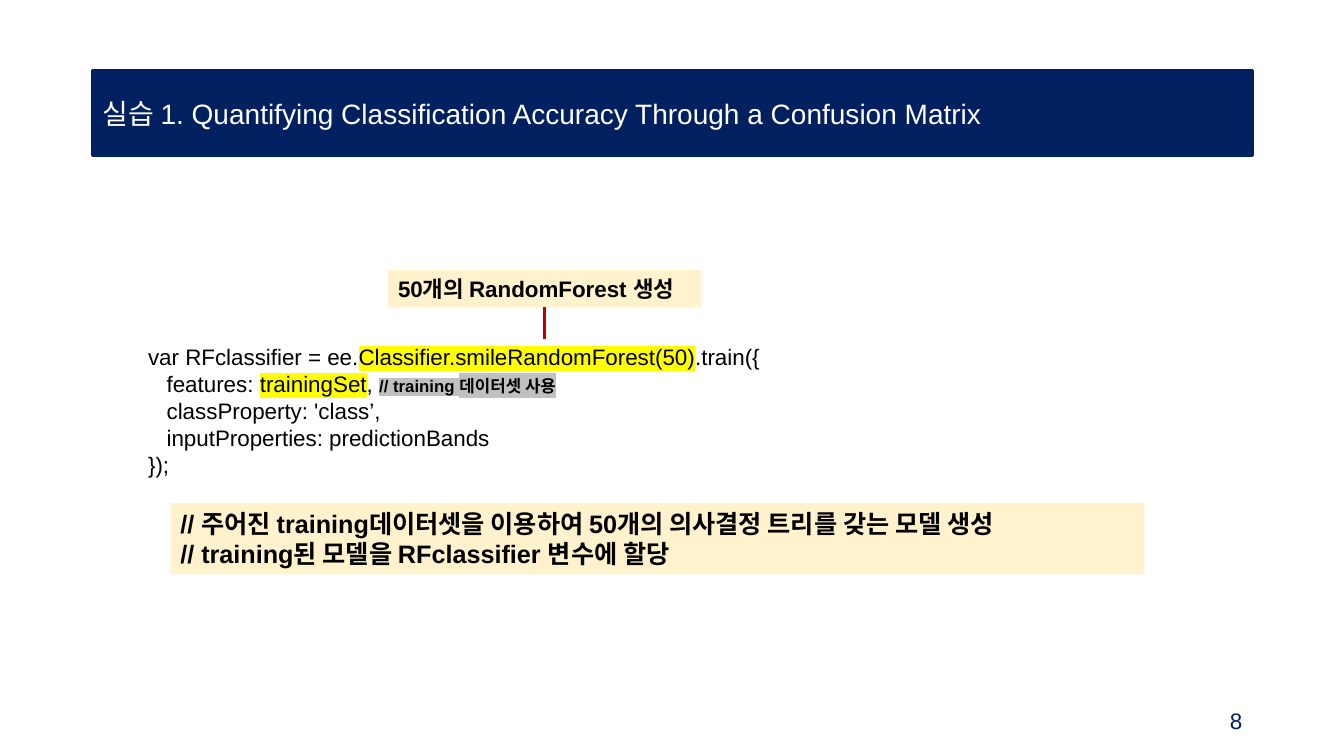
"""Build the slide on training a random forest classifier."""
import pptx
import pptx.dml.color
import pptx.enum.shapes
import pptx.enum.text
import pptx.oxml
import pptx.oxml.ns
import pptx.util

NAVY, CREAM, BLACK, WHITE = "002060", "FFF2CC", "000000", "FFFFFF"
YELLOW, SILVER, RED = "FFFF00", "C0C0C0", "C00000"
ALIGN = pptx.enum.text.PP_ALIGN
ANCHOR = pptx.enum.text.MSO_ANCHOR

prs = pptx.Presentation()
prs.slide_width = pptx.util.Inches(13.33)
prs.slide_height = pptx.util.Inches(7.5)
s = prs.slides.add_slide(prs.slide_layouts[6])
col, row = prs.slide_width / 100, prs.slide_height / 100


def rgb(value):
    return pptx.dml.color.RGBColor.from_string(value)


def style(r, size, color, bold=False, mark=None):
    r.font.size = pptx.util.Pt(size)
    r.font.bold = bold
    r.font.color.rgb = rgb(color)
    if mark:
        fill = r.font._element.find(pptx.oxml.ns.qn("a:solidFill"))
        fill.addnext(pptx.oxml.parse_xml(
            f'<a:highlight {pptx.oxml.ns.nsdecls("a")}><a:srgbClr val="{mark}"/></a:highlight>'))
    r.font.name = "Arial"


title = ["실습 1. Quantifying Classification Accuracy Through a Confusion Matrix"]
label = ["50개의 RandomForest 생성"]
notes = ["// 주어진 training데이터셋을 이용하여 50개의 의사결정 트리를 갖는 모델 생성",
         "// training된 모델을 RFclassifier 변수에 할당"]
label_x, label_y, label_w, label_h = 28.88, 35.73, 23.33, 4.93
code_y = 44.8

boxes = [
    (6.9, 9.33, 86.27, 11.2, title, 20, WHITE, False, NAVY, ALIGN.LEFT, ANCHOR.MIDDLE),
    (70.67, 92.67, 22.5, 5.33, ["8"], 16, NAVY, False, None, ALIGN.RIGHT, ANCHOR.MIDDLE),
    (label_x, label_y, label_w, label_h, label, 16, BLACK, True, CREAM, ALIGN.LEFT, ANCHOR.TOP),
    (12.68, 66.53, 72.47, 9.47, notes, 18, BLACK, True, CREAM, ALIGN.LEFT, ANCHOR.TOP),
]
for x, y, w, h, lines, size, color, bold, fill, align, anchor in boxes:
    area = [int(v) for v in (x * col, y * row, w * col, h * row)]
    if fill:
        sp = s.shapes.add_shape(pptx.enum.shapes.MSO_SHAPE.RECTANGLE, *area)
        sp.shadow.inherit = False
        sp.fill.solid()
        sp.fill.fore_color.rgb = rgb(fill)
        if fill == NAVY:
            sp.line.color.rgb = rgb(NAVY)
            sp.line.width = pptx.util.Pt(2.25)
        else:
            sp.line.fill.background()
    else:
        sp = s.shapes.add_textbox(*area)
    tf = sp.text_frame
    tf.text = "\n".join(lines)
    tf.word_wrap = lines is not label
    tf.vertical_anchor = anchor
    for p in tf.paragraphs:
        p.alignment = align
        style(p.runs[0], size, color, bold)

code = [
    [("var RFclassifier = ee.", None), ("Classifier.smileRandomForest(50)", YELLOW), (".train({", None)],
    [("   features: ", None), ("trainingSet", YELLOW), (", ", None), ("// training 데이터셋 사용", SILVER)],
    [("   classProperty: 'class’,", None)],
    [("   inputProperties: predictionBands", None)],
    [("});", None)],
]
sp = s.shapes.add_textbox(int(10.28 * col), int(code_y * row), int(79.45 * col), int(19.33 * row))
tf = sp.text_frame
tf.word_wrap = True
for i, parts in enumerate(code):
    p = tf.add_paragraph() if i else tf.paragraphs[0]
    for text, mark in parts:
        r = p.add_run()
        r.text = text
        comment = mark == SILVER
        style(r, 12 if comment else 16, BLACK, comment, mark)

x = int((label_x + label_w / 2) * col)
line = s.shapes.add_connector(pptx.enum.shapes.MSO_CONNECTOR.STRAIGHT,
                              x, int((label_y + label_h) * row), x, int(code_y * row))
line.line.color.rgb = rgb(RED)
line.line.width = pptx.util.Pt(2.25)
line._element.spPr.append(pptx.oxml.parse_xml(f'<a:effectLst {pptx.oxml.ns.nsdecls("a")}/>'))

prs.save("out.pptx")
